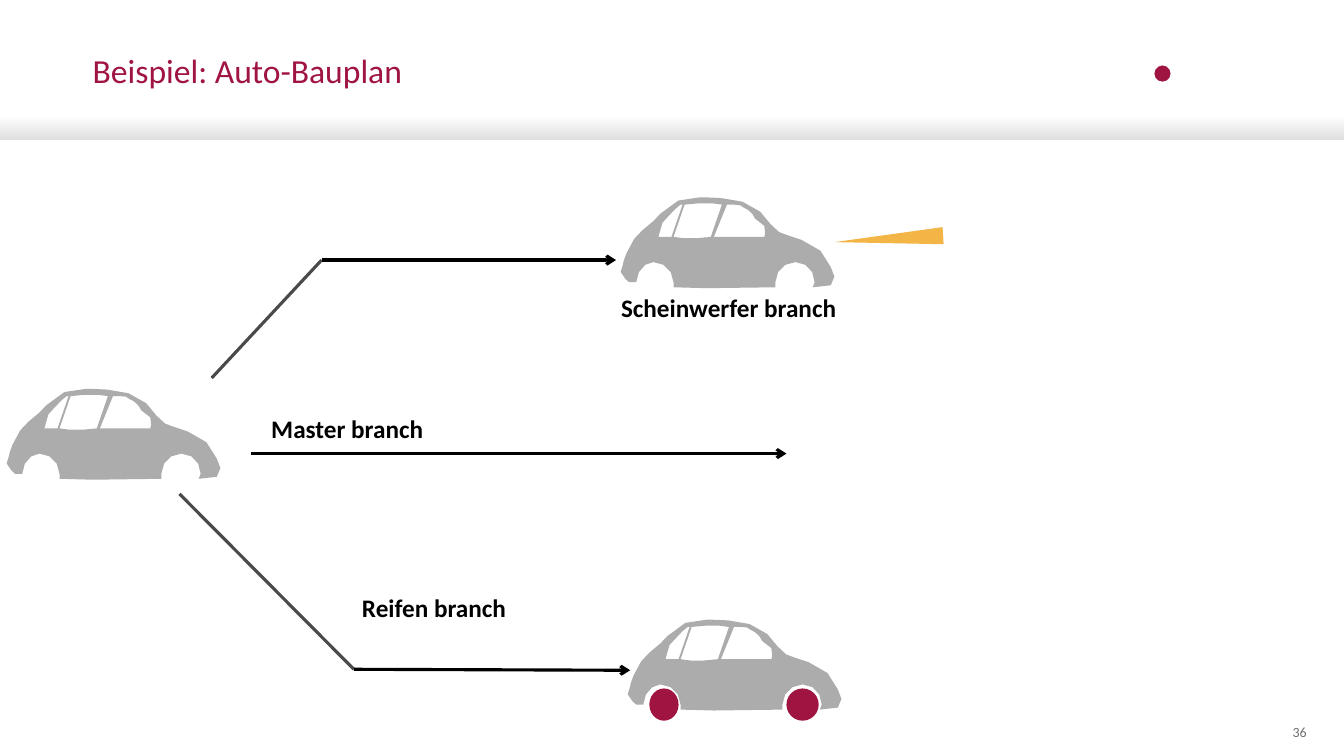
from dataclasses import dataclass

from lxml.etree import SubElement
from pptx import Presentation
from pptx.dml.color import RGBColor
from pptx.enum.shapes import MSO_CONNECTOR, MSO_SHAPE
from pptx.enum.text import MSO_ANCHOR, PP_ALIGN
from pptx.oxml.ns import qn
from pptx.util import Inches, Pt


@dataclass(frozen=True)
class Theme:
    """Colours, font and sizes of the deck."""
    font: str = "Calibri"
    title: int = 24
    label: int = 18
    small: int = 10
    stroke: float = 2.25
    red: str = "A01441"
    grey: str = "6F6F6F"
    body: str = "ACACAC"
    lamp: str = "F3B545"
    black: str = "000000"
    dark: str = "4A4A4A"
    white: str = "FFFFFF"
    shade: str = "DEDEDE"


THEME = Theme()

CAR = [
    [(2.15, .73),
     (2.13, .54, 1.8, .43, 1.71, .41), (1.64, .41, 1.56, .32, 1.45, .18),
     (1.34, .04, .96, .04, .96, .04), (.96, .04, .57, 0, .46, .2),
     (.44, .25, .24, .38, .2, .45), (.09, .63, .09, .7, .09, .7),
     (0, .77, .15, .88, .15, .88), (.22, .88),
     (.22, .77, .31, .68, .39, .68), (.5, .68, .59, .77, .59, .88),
     (.59, .93), (.9, .95, 1.29, .93, 1.6, .93), (1.6, .88),
     (1.6, .77, 1.69, .68, 1.8, .68), (1.91, .68, 1.99, .77, 1.99, .88),
     (1.97, .93), (2.15, .91), (2.23, .79, 2.15, .79, 2.15, .73)],
    [(.44, .43),
     (.48, .29), (.5, .27, .64, .11, .66, .11),
     (.68, .11), (.57, .43), (.44, .43)],
    [(.59, .43), (.7, .11), (.85, .09, .99, .09, 1.07, .11),
     (.96, .43), (.81, .45, .68, .45, .59, .43)],
    [(1.49, .43), (.99, .43), (1.12, .11),
     (1.21, .11, 1.27, .11, 1.27, .13), (1.34, .16, 1.38, .2, 1.4, .25),
     (1.49, .32), (1.49, .34, 1.51, .41, 1.49, .43)],
]


def trace(outline, steps=3):
    """Turn lines and cubic curves into a list of points."""
    points = [outline[0]]
    for part in outline[1:]:
        if len(part) == 2:
            points.append(part)
            continue
        (ax, ay), (bx, by, cx, cy, dx, dy) = points[-1], part
        for step in range(1, steps + 1):
            t = step / steps
            s = 1 - t
            w = s ** 3, 3 * s * s * t, 3 * s * t * t, t ** 3
            points.append((w[0] * ax + w[1] * bx + w[2] * cx + w[3] * dx,
                           w[0] * ay + w[1] * by + w[2] * cy + w[3] * dy))
    return points


def paint(shape, color):
    """Give a shape a plain fill without line or shadow."""
    shape.shadow.inherit = False
    shape.fill.solid()
    shape.fill.fore_color.rgb = RGBColor.from_string(color)
    shape.line.fill.background()


def form(slide, kind, box, color):
    """Add a plain preset shape."""
    shape = slide.shapes.add_shape(kind, *map(Inches, box))
    paint(shape, color)
    return shape


def write(slide, box, text, size, color, bold=False, align=PP_ALIGN.LEFT,
          space=1.0, anchor=MSO_ANCHOR.TOP):
    """Add a text box with one paragraph."""
    frame = slide.shapes.add_textbox(*map(Inches, box)).text_frame
    frame.margin_left = frame.margin_right = 0
    frame.margin_top = frame.margin_bottom = 0
    frame.word_wrap = True
    frame.vertical_anchor = anchor
    line = frame.paragraphs[0]
    line.text = text
    line.alignment = align
    line.line_spacing = space
    line.font.name = THEME.font
    line.font.size = Pt(size)
    line.font.bold = bold
    line.font.color.rgb = RGBColor.from_string(color)


def link(slide, start, end, color, arrow):
    """Add a straight line, with an arrowhead if wanted."""
    line = slide.shapes.add_connector(
        MSO_CONNECTOR.STRAIGHT, *map(Inches, (*start, *end)))
    line.line.width = Pt(THEME.stroke)
    line.line.color.rgb = RGBColor.from_string(color)
    if arrow:
        SubElement(line.line._get_or_add_ln(), qn("a:tailEnd"), type="arrow")
    SubElement(line._element.spPr, qn("a:effectLst"))


def car(slide, left, top):
    """Draw the car body with its windows cut out."""
    loops = [[(Inches(left + x), Inches(top + y)) for x, y in trace(outline)]
             for outline in CAR]
    pen = slide.shapes.build_freeform(*loops[0][0], scale=1.0)
    pen.add_line_segments(loops[0][1:])
    for loop in loops[1:]:
        pen.move_to(*loop[0])
        pen.add_line_segments(loop[1:])
    paint(pen.convert_to_shape(), THEME.body)


def branch(slide, left, top, label, spot, route, tires=()):
    """Draw a car with its branch line and label."""
    for x, width in tires:
        form(slide, MSO_SHAPE.OVAL, (left + x, top + .72, width, .32),
             THEME.red)
    car(slide, left, top)
    stops = [(left + x, top + y) for x, y in route]
    last = len(stops) - 2
    for i, (start, end) in enumerate(zip(stops, stops[1:])):
        link(slide, start, end, THEME.black if i == last else THEME.dark,
             i == last)
    write(slide, (left + spot[0], top + spot[1], 3.25, .4), label,
          THEME.label, THEME.black, bold=True, space=1.1)


def header(slide, left, top, width):
    """Draw the title, the shaded band and the corner dot."""
    band = form(slide, MSO_SHAPE.RECTANGLE, (left, top + 1.15, width, .24),
                THEME.white)
    band.fill.gradient()
    band.fill.gradient_angle = 270
    for stop, place, color in zip(band.fill.gradient_stops, (0, 1),
                                  (THEME.white, THEME.shade)):
        stop.position = place
        stop.color.rgb = RGBColor.from_string(color)
    form(slide, MSO_SHAPE.OVAL,
         (left + width - 1.88, top + .65, .16, .16), THEME.red)
    write(slide, (left + .92, top + .54, 10.24, .85), "Beispiel: Auto-Bauplan",
          THEME.title, THEME.red, space=.9)


def plan(slide, left, top):
    """Draw the three branches of the car plan."""
    branch(slide, left, top + 2.43, "Master branch", (2.69, .25),
           [(2.49, .68), (7.8, .68)])
    branch(slide, left + 6.16, top + 4.72, "Reifen branch", (-2.57, -.26),
           [(-4.38, -1.21), (-2.65, .53), (.09, .54)],
           tires=[(.28, .29), (1.64, .32)])
    branch(slide, left + 6.09, top + .53, "Scheinwerfer branch", (.07, .95),
           [(-3.99, 1.83), (-2.9, .66), (.02, .66)])
    beam = form(slide, MSO_SHAPE.ISOSCELES_TRIANGLE,
                (left + 8.73, top + .44, .17, 1.08), THEME.lamp)
    beam.rotation = 266.6


def main():
    """Build and save the slide."""
    deck = Presentation()
    deck.slide_width, deck.slide_height = Inches(13.33), Inches(7.5)
    slide = deck.slides.add_slide(deck.slide_layouts[6])
    header(slide, 0, 0, 13.33)
    plan(slide, 0, 1.39)
    write(slide, (12.41, 7.16, .55, .21), "36", THEME.small, THEME.grey,
          align=PP_ALIGN.RIGHT, anchor=MSO_ANCHOR.MIDDLE)
    deck.save("out.pptx")


if __name__ == "__main__":
    main()
